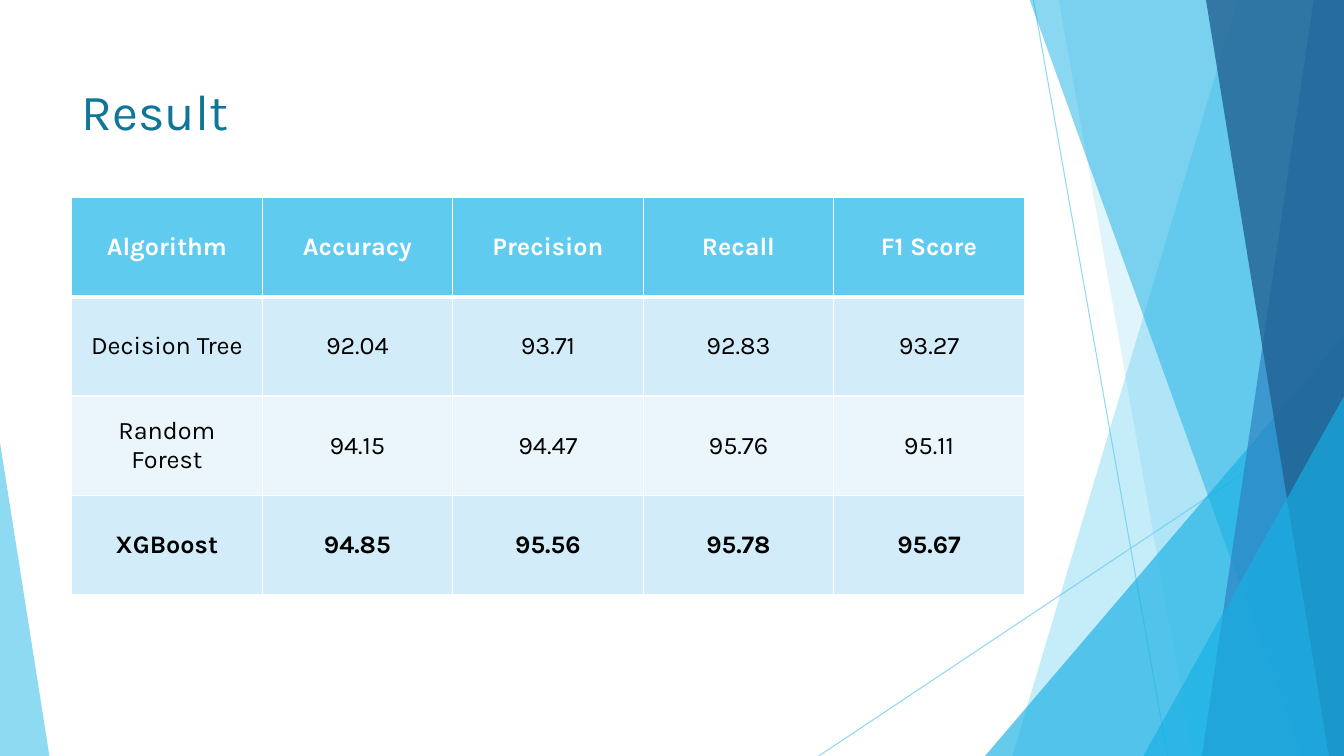
from lxml import etree
from pptx import Presentation
from pptx.dml.color import RGBColor
from pptx.enum.shapes import MSO_CONNECTOR as Connector, MSO_SHAPE as Shape
from pptx.enum.text import MSO_ANCHOR as Anchor, PP_ALIGN as Align
from pptx.oxml.ns import qn
from pptx.util import Inches, Pt

# Content
TITLE = "Result"
RESULTS = [
    ("Algorithm", "Accuracy", "Precision", "Recall", "F1 Score"),
    ("Decision Tree", "92.04", "93.71", "92.83", "93.27"),
    ("Random Forest", "94.15", "94.47", "95.76", "95.11"),
    ("XGBoost", "94.85", "95.56", "95.78", "95.67"),
]
FONT = "Karla"
WHITE, BLACK, TEAL = "FFFFFF", "000000", "0F7698"
SKY, CYAN, BLUE, NAVY = "5FCBEF", "17B0E4", "2E83C3", "226292"
ROW_FILLS = [SKY, "D2ECF9", "EAF6FC", "D2ECF9"]
WIDTH, HEIGHT, TOP = 13.33, 7.5, -0.01

# Decoration, back to front
RAYS = [((10.25, 0), (11.58, HEIGHT)), ((WIDTH, 4.03), (8.12, HEIGHT))]
FACETS = [  # band: top x, bottom x; triangle: left, top, width, apex position
    ("band", (12.28, 10.04), SKY, 36),
    ("band", (10.5, 11.83), SKY, 20),
    ("triangle", (9.77, 3.33, 3.56, 1), CYAN, 66),
    ("band", (10.21, 12.91), CYAN, 50),
    ("band", (13.03, 11.92), BLUE, 70),
    ("band", (11.96, 13.18), NAVY, 80),
    ("triangle", (11.34, 3.93, 1.99, 1), CYAN, 66),
    ("triangle", (0, 4.39, 0.49, 0), SKY, 70),
]


def rgb(value):
    return RGBColor.from_string(value)


def paint(fill, color, opacity=100):
    fill.solid()
    fill.fore_color.rgb = rgb(color)
    if opacity < 100:
        # The color element sits inside the solid fill of the shape or line
        choice = fill._xPr.find(qn("a:solidFill"))[0]
        etree.SubElement(choice, qn("a:alpha"), val=str(opacity * 1000))


def write(frame, text, size, color, bold=False, align=Align.LEFT):
    para = frame.paragraphs[0]
    para.alignment = align
    span = para.add_run()
    span.text = text
    span.font.name, span.font.size, span.font.bold = FONT, Pt(size), bold
    span.font.color.rgb = rgb(color)


def add_ray(page, start, end):
    ends = [Inches(value) for value in (*start, *end)]
    ray = page.shapes.add_connector(Connector.STRAIGHT, *ends)
    ray.line.width = Pt(0.75)
    paint(ray.line.fill, SKY, 70)
    etree.SubElement(ray._element.spPr, qn("a:effectLst"))


def add_facet(page, kind, place, color, opacity):
    if kind == "band":
        top_x, bottom_x = place
        corners = [(top_x, TOP), (WIDTH, TOP), (WIDTH, HEIGHT), (bottom_x, HEIGHT)]
        points = [(Inches(x), Inches(y)) for x, y in corners]
        outline = page.shapes.build_freeform(*points[0])
        outline.add_line_segments(points[1:], close=True)
        facet = outline.convert_to_shape()
    else:
        left, top, width, apex = place
        box = [Inches(value) for value in (left, top, width, HEIGHT - top)]
        facet = page.shapes.add_shape(Shape.ISOSCELES_TRIANGLE, *box)
        facet.adjustments[0] = apex
    facet.shadow.inherit = False
    facet.line.fill.background()
    paint(facet.fill, color, opacity)


def add_borders(cell, bottom):
    properties = cell._tc.get_or_add_tcPr()
    widths = {"a:lnL": 1, "a:lnR": 1, "a:lnT": 1, "a:lnB": bottom}
    for index, (tag, width) in enumerate(widths.items()):
        line = etree.Element(qn(tag), w=str(Pt(width)))
        fill = etree.SubElement(line, qn("a:solidFill"))
        etree.SubElement(fill, qn("a:srgbClr"), val=WHITE)
        properties.insert(index, line)


def add_results(page):
    box = [Inches(value) for value in (0.71, 1.96, 9.45, 3.94)]
    table = page.shapes.add_table(len(RESULTS), len(RESULTS[0]), *box).table
    last = len(RESULTS) - 1
    for row, values in enumerate(RESULTS):
        for column, value in enumerate(values):
            cell = table.cell(row, column)
            cell.vertical_anchor = Anchor.MIDDLE
            paint(cell.fill, ROW_FILLS[row])
            write(cell.text_frame, value, 18, BLACK if row else WHITE,
                  bold=row in (0, last), align=Align.CENTER)
            add_borders(cell, bottom=1 if row else 3)


def main():
    deck = Presentation()
    deck.slide_width, deck.slide_height = Inches(WIDTH), Inches(HEIGHT)
    page = deck.slides.add_slide(deck.slide_layouts[5])
    paint(page.background.fill, WHITE)

    # Background facets
    for start, end in RAYS:
        add_ray(page, start, end)
    for facet in FACETS:
        add_facet(page, *facet)

    # Title
    title = page.shapes.title
    title.left, title.top = Inches(0.71), Inches(0.74)
    title.width, title.height = Inches(9.21), Inches(0.86)
    title.text_frame.vertical_anchor = Anchor.TOP
    write(title.text_frame, TITLE, 36, TEAL)

    # Results table
    add_results(page)
    deck.save("out.pptx")


if __name__ == "__main__":
    main()
